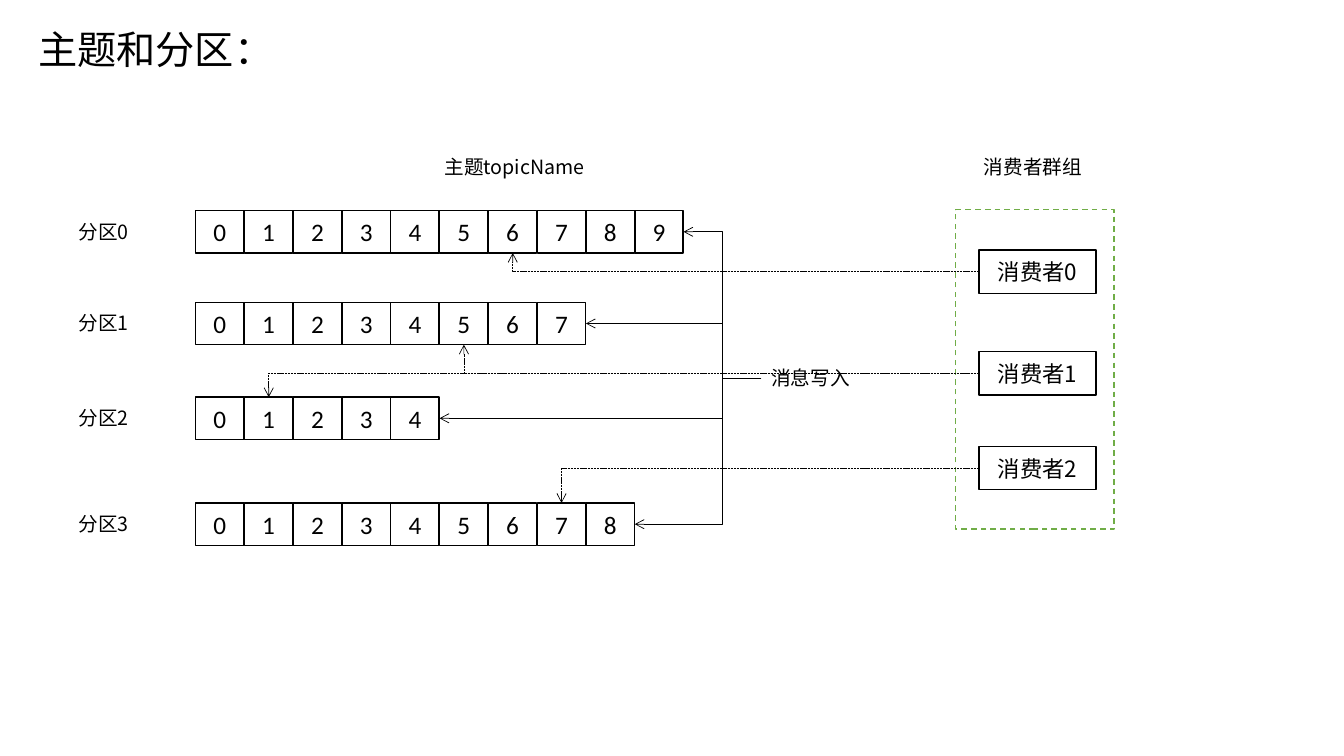
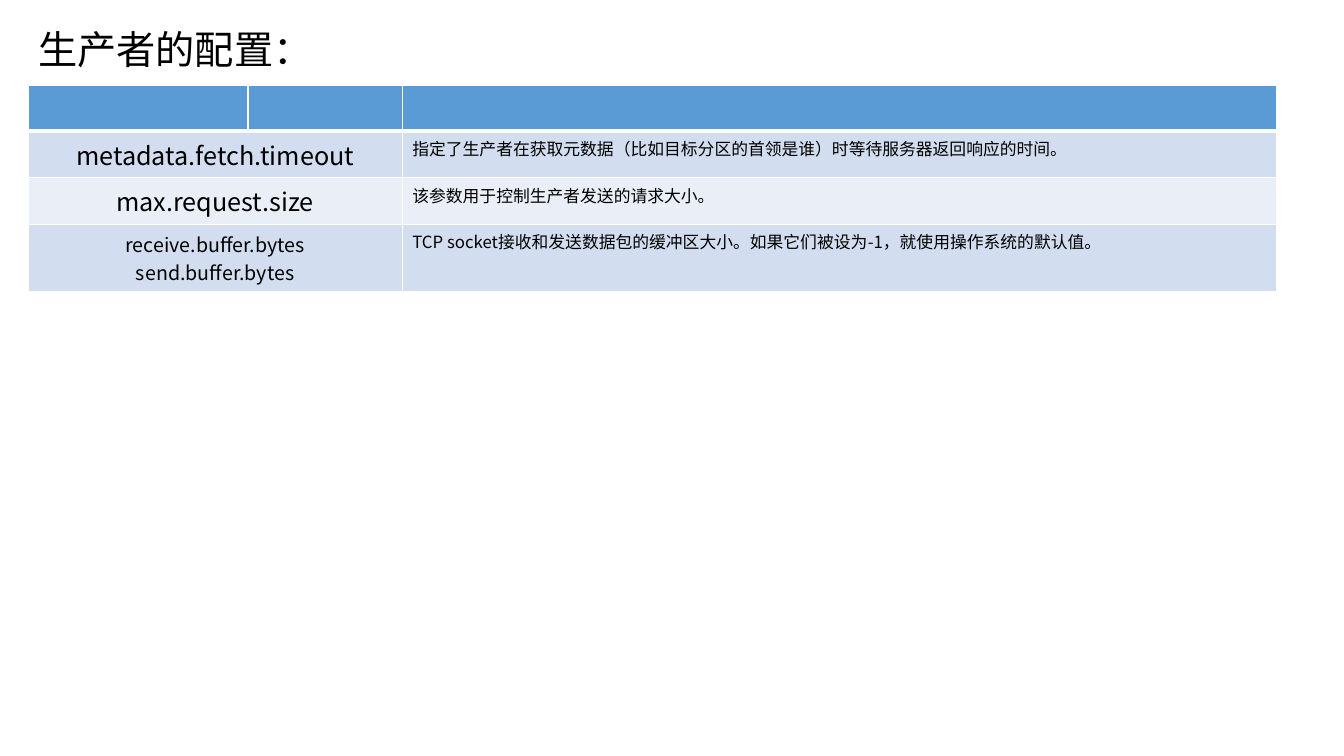
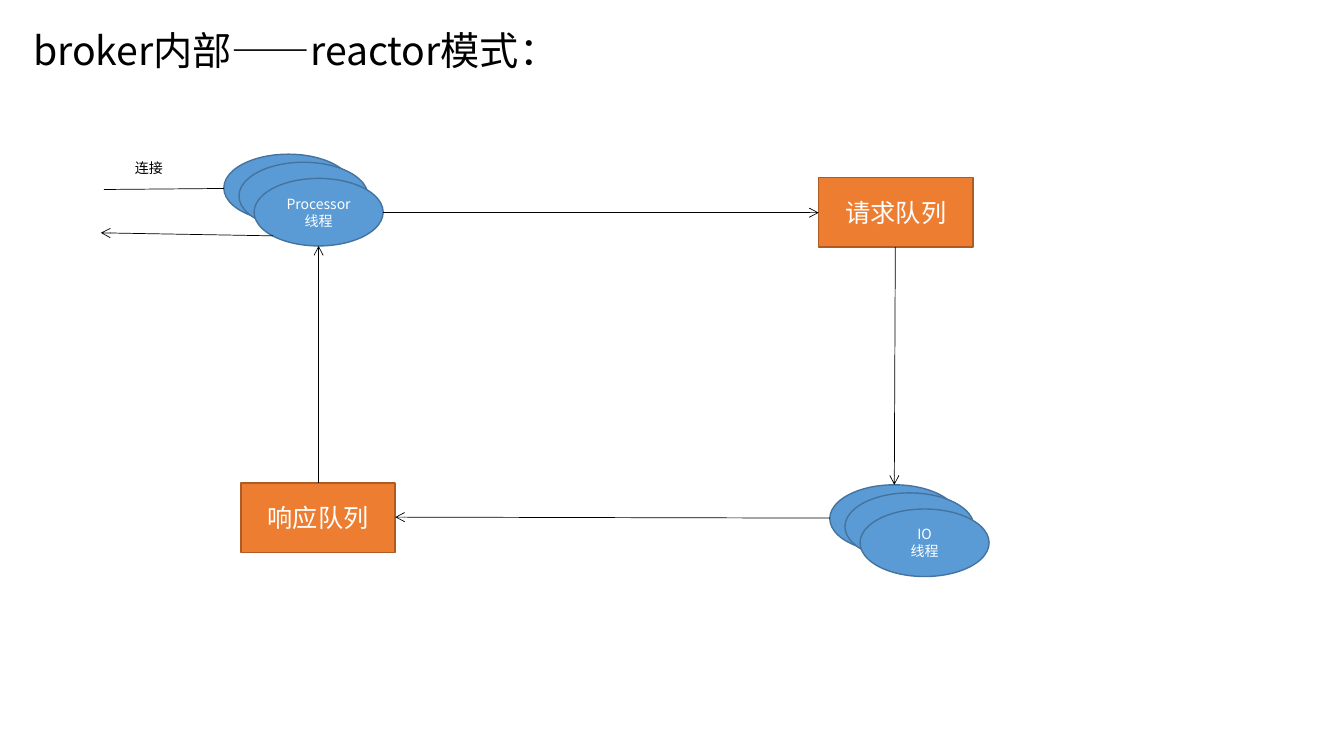
from lxml import etree
from pptx import Presentation
from pptx.dml.color import RGBColor
from pptx.enum.dml import MSO_LINE
from pptx.enum.shapes import MSO_CONNECTOR, MSO_SHAPE
from pptx.enum.text import MSO_ANCHOR, MSO_AUTO_SIZE, PP_ALIGN
from pptx.oxml.ns import qn
from pptx.util import Inches, Pt

RECT, OVAL = MSO_SHAPE.RECTANGLE, MSO_SHAPE.OVAL
STRAIGHT, ELBOW = MSO_CONNECTOR.STRAIGHT, MSO_CONNECTOR.ELBOW
DASH, SHORT_DASH = MSO_LINE.DASH, MSO_LINE.SQUARE_DOT
LEFT, CENTER = PP_ALIGN.LEFT, PP_ALIGN.CENTER
TOP, MIDDLE = MSO_ANCHOR.TOP, MSO_ANCHOR.MIDDLE
FIXED_SIZE = MSO_AUTO_SIZE.NONE

COLORS = {
    "black": "000000", "white": "FFFFFF", "green": "70AD47",
    "blue": "5B9BD5", "blue_edge": "43739E",
    "orange": "ED7D31", "orange_edge": "AF5C24",
    "band_dark": "D2DEEF", "band_light": "EAEFF7",
}
CJK_FONT, NUMBER_FONT = "Noto Sans CJK JP", "Calibri"


def rgb(name):
    return RGBColor.from_string(COLORS[name])


class Deck:
    def __init__(self):
        self.prs = Presentation()
        self.prs.slide_width, self.prs.slide_height = Inches(13.33), Inches(7.5)
        self.slide = None

    def new_slide(self, title, left=0.28, top=0.2):
        self.slide = self.prs.slides.add_slide(self.prs.slide_layouts[5])
        heading = self.slide.shapes.title
        heading.left, heading.top = Inches(left), Inches(top)
        heading.width, heading.height = Inches(5.55), Inches(0.57)
        self.set_text(heading.text_frame, title, 28)
        heading.text_frame.auto_size = FIXED_SIZE

    def set_text(self, frame, text, size, color="black", align=LEFT, anchor=TOP, font=CJK_FONT):
        frame.text = text
        frame.word_wrap = True
        frame.vertical_anchor = anchor
        for paragraph in frame.paragraphs:
            paragraph.alignment = align
            paragraph.font.size = Pt(size)
            paragraph.font.color.rgb = rgb(color)
            paragraph.font.name = font
            defaults = paragraph._p.pPr.find(qn("a:defRPr"))
            etree.SubElement(defaults, qn("a:ea"), typeface=font)

    def label(self, text, left, top, width, height=0.34, size=14):
        box = self.slide.shapes.add_textbox(*map(Inches, (left, top, width, height)))
        self.set_text(box.text_frame, text, size)

    def shape(self, left, top, width, height, kind=RECT, text="", size=18, fill="white",
              edge="black", color="black", dash=None, font=CJK_FONT):
        node = self.slide.shapes.add_shape(kind, *map(Inches, (left, top, width, height)))
        node.shadow.inherit = False
        node.fill.solid()
        node.fill.fore_color.rgb = rgb(fill)
        node.line.color.rgb = rgb(edge)
        node.line.width = Pt(1)
        if dash:
            node.line.dash_style = dash
        if text:
            self.set_text(node.text_frame, text, size, color, CENTER, MIDDLE, font)

    def line(self, start, end, kind=STRAIGHT, dash=None, arrow=True):
        """Draw a connector and return its geometry element."""
        connector = self.slide.shapes.add_connector(kind, *map(Inches, (*start, *end)))
        connector.line.color.rgb = rgb("black")
        connector.line.width = Pt(0.5)
        if dash:
            connector.line.dash_style = dash
        properties = connector._element.spPr
        if arrow:
            etree.SubElement(properties.find(qn("a:ln")), qn("a:tailEnd"), type="arrow")
        etree.SubElement(properties, qn("a:effectLst"))
        return properties.find(qn("a:prstGeom"))

    def trunk_arrow(self, start, end, trunk_x):
        """Elbow with its vertical part at trunk_x."""
        geometry = self.line(start, end, ELBOW)
        share = round(100000 * (start[0] - trunk_x) / (start[0] - end[0]))
        guides = geometry.find(qn("a:avLst"))
        etree.SubElement(guides, qn("a:gd"), name="adj1", fmla=f"val {share}")

    def corner_arrow(self, start, end):
        """Dashed arrow with one corner: across, then up or down."""
        self.line(start, end, ELBOW, SHORT_DASH).set("prst", "bentConnector2")

    def queue(self, text, left, top):
        self.shape(left, top, 1.53, 0.69, text=text, fill="orange",
                   edge="orange_edge", color="white")

    def thread_pool(self, text, left, top):
        for dx, dy, caption in ((0, 0, ""), (0.15, 0.08, ""), (0.3, 0.24, text)):
            self.shape(left + dx, top + dy, 1.28, 0.67, OVAL, caption, 10,
                       "blue", "blue_edge", "white")

    def fill_cell(self, cell, fill, bottom=1):
        cell.fill.solid()
        cell.fill.fore_color.rgb = rgb(fill)
        properties = cell._tc.get_or_add_tcPr()
        sides = (("lnL", 1), ("lnR", 1), ("lnT", 1), ("lnB", bottom))
        for position, (side, width) in enumerate(sides):
            border = etree.Element(qn(f"a:{side}"), w=str(Pt(width)))
            paint = etree.SubElement(border, qn("a:solidFill"))
            etree.SubElement(paint, qn("a:srgbClr"), val=COLORS["white"])
            properties.insert(position, border)

    def settings_table(self, settings, left, top, widths, row_height):
        row_count = len(settings) + 1
        table = self.slide.shapes.add_table(
            row_count, len(widths), Inches(left), Inches(top),
            Inches(sum(widths)), Inches(row_height * row_count)).table
        for column, width in zip(table.columns, widths):
            column.width = Inches(width)
        for cell in table.rows[0].cells:
            self.fill_cell(cell, "blue", bottom=3)
        for row, (name, size, meaning) in enumerate(settings, 1):
            for cell in table.rows[row].cells:
                self.fill_cell(cell, "band_dark" if row % 2 else "band_light")
            table.cell(row, 0).merge(table.cell(row, 1))
            self.set_text(table.cell(row, 0).text_frame, name, size, align=CENTER)
            self.set_text(table.cell(row, 2).text_frame, meaning, 12)


def topic_slide(deck):
    deck.new_slide("主题和分区：")
    deck.shape(9.48, 2.08, 1.57, 3.17, edge="green", dash=DASH)
    deck.label("主题topicName", 4.31, 1.49, 2.85)
    deck.label("消费者群组", 9.66, 1.49, 1.26)
    deck.label("消息写入", 7.55, 3.58, 1.01)

    first_x, pitch, cell_width, cell_height = 1.94, 0.484, 0.48, 0.42
    partitions = ((2.09, 10), (3, 8), (3.94, 5), (4.99, 9))
    for number, (top, count) in enumerate(partitions):
        deck.label(f"分区{number}", 0.68, top + 0.04, 1.01)
        for offset in range(count):
            deck.shape(first_x + offset * pitch, top, cell_width, cell_height,
                       text=str(offset), font=NUMBER_FONT)
        deck.trunk_arrow((7.55, 3.75), (first_x + count * pitch, top + cell_height / 2), 7.16)

    consumer_tops, consumer_height = (2.48, 3.49, 4.43), 0.43
    for number, top in enumerate(consumer_tops):
        deck.shape(9.71, top, 1.16, consumer_height, text=f"消费者{number}", size=16)
    for consumer, partition, offset in ((0, 0, 6), (1, 1, 5), (1, 2, 1), (2, 3, 7)):
        start_y = consumer_tops[consumer] + consumer_height / 2
        cell_top = partitions[partition][0]
        end_y = cell_top if cell_top > start_y else cell_top + cell_height
        deck.corner_arrow((9.71, start_y), (first_x + (offset + 0.5) * pitch, end_y))


def producer_slide(deck):
    deck.new_slide("生产者的配置：")
    settings = (
        ("metadata.fetch.timeout", 18,
         "指定了生产者在获取元数据（比如目标分区的首领是谁）时等待服务器返回响应的时间。"),
        ("max.request.size", 18, "该参数用于控制生产者发送的请求大小。"),
        ("receive.buffer.bytes\nsend.buffer.bytes", 14,
         "TCP socket接收和发送数据包的缓冲区大小。如果它们被设为-1，就使用操作系统的默认值。"),
    )
    deck.settings_table(settings, 0.28, 0.85, (2.18, 1.53, 8.67), 0.45)


def reactor_slide(deck):
    deck.new_slide("broker内部——reactor模式：", 0.23, 0.21)
    deck.thread_pool("Processor\n线程", 2.22, 1.53)
    deck.queue("请求队列", 8.12, 1.76)
    deck.thread_pool("IO\n线程", 8.23, 4.81)
    deck.queue("响应队列", 2.39, 4.79)
    for start, end in (
        ((3.8, 2.11), (8.12, 2.11)),
        ((8.88, 2.45), (8.87, 4.81)),
        ((8.23, 5.14), (3.92, 5.13)),
        ((3.16, 4.79), (3.16, 2.44)),
        ((2.71, 2.34), (1, 2.31)),
    ):
        deck.line(start, end)
    deck.line((1.03, 1.88), (2.22, 1.87), arrow=False)
    deck.label("连接", 1.24, 1.53, 0.76, 0.27, 10)


def main():
    deck = Deck()
    topic_slide(deck)
    producer_slide(deck)
    reactor_slide(deck)
    deck.prs.save("out.pptx")


if __name__ == "__main__":
    main()
